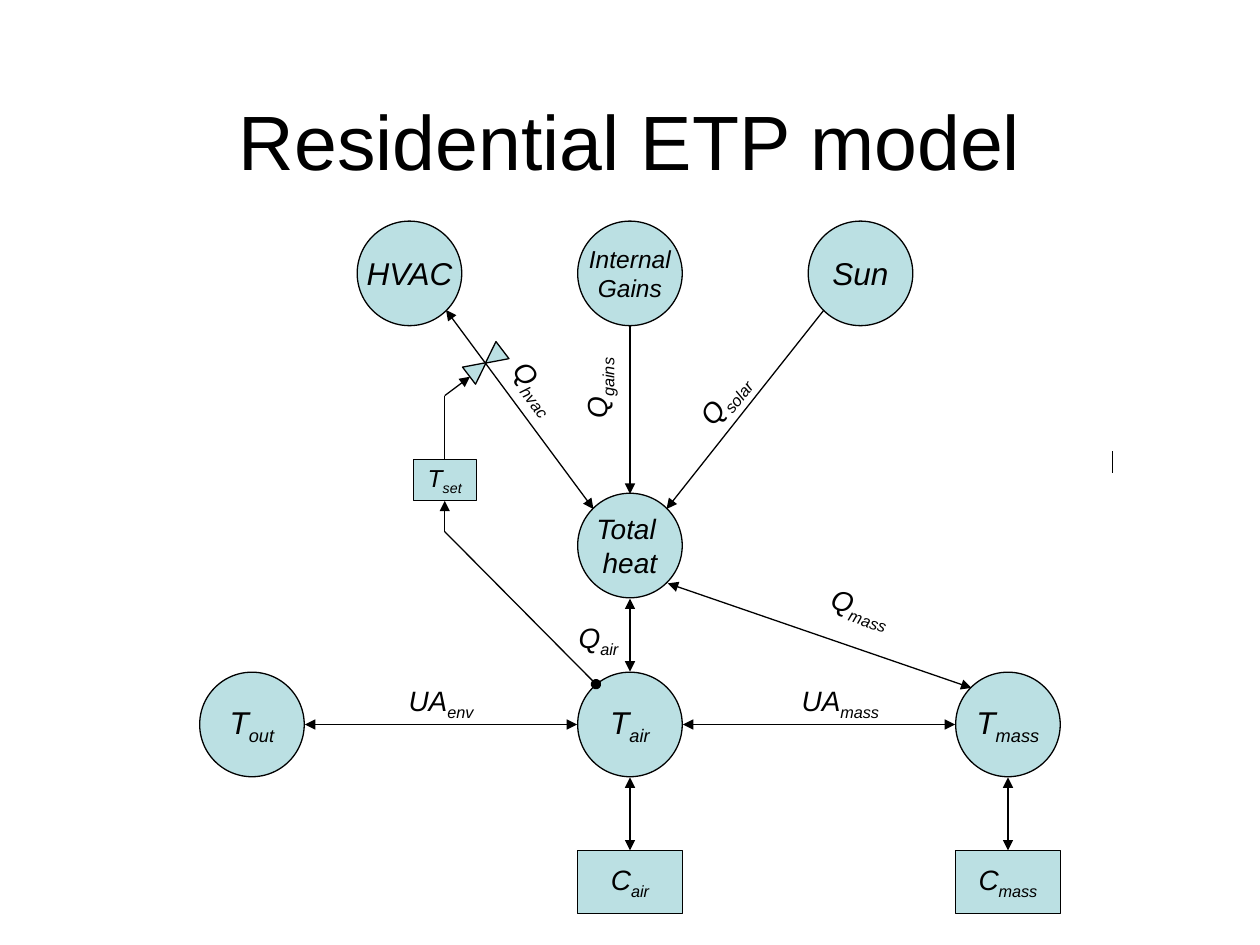
from typing import NamedTuple, Optional

import pptx
import pptx.util
import pptx.dml.color
import pptx.enum.shapes
import pptx.enum.text
from lxml import etree
from pptx.oxml.ns import qn
from pptx.util import Inches, Pt

FORM = pptx.enum.shapes.MSO_SHAPE
BLACK, TEAL = "000000", "BBE0E3"
DIAM = 0.83
TRI = "triangle"


class Node(NamedTuple):
    """A shape placed by its centre."""
    x: float
    y: float
    text: str
    sub: str = ""
    size: int = 18
    w: float = DIAM
    h: float = DIAM


class Label(NamedTuple):
    x: float
    y: float
    text: str
    sub: str
    turn: float = 0


class Link(NamedTuple):
    x1: float
    y1: float
    x2: float
    y2: float
    head: str = ""
    tail: str = ""
    start: Optional[tuple] = None  # box key and side
    stop: Optional[tuple] = None


ROUND = [
    Node(5, 5.75, "T", "air"),
    Node(8, 5.75, "T", "mass"),
    Node(2, 5.75, "T", "out"),
    Node(3.25, 2.17, "HVAC"),
    Node(5, 2.17, "Internal\nGains", size=14),
    Node(6.83, 2.17, "Sun"),
    Node(5, 4.33, "Total \nheat", size=16),
]
BOXES = {
    "air": Node(5, 7, "C", "air", 16, h=0.5),
    "mass": Node(8, 7, "C", "mass", 16, h=0.5),
    "set": Node(3.53, 3.81, "T", "set", 14, 0.5, 0.33),
}
LABELS = [
    Label(6.83, 4.83, "Q", "mass", 18.9),
    Label(3.5, 5.58, "UA", "env"),
    Label(6.67, 5.58, "UA", "mass"),
    Label(4.25, 3.08, "Q", "hvac", 52.3),
    Label(4.75, 3.08, "Q", "gains", 270),
    Label(5.75, 3.17, "Q", "solar", 308.8),
    Label(4.75, 5.08, "Q", "air"),
]
LINKS = [
    # Heat flows
    Link(3.54, 2.46, 4.71, 4.04, TRI, TRI),
    Link(5, 2.58, 5, 3.92, tail=TRI),
    Link(6.54, 2.46, 5.29, 4.04, tail=TRI),
    Link(5.3, 4.63, 7.71, 5.46, TRI, TRI),
    Link(5, 4.75, 5, 5.33, TRI, TRI),
    # Envelope and mass
    Link(2.42, 5.75, 4.58, 5.75, TRI, TRI),
    Link(5.42, 5.75, 7.58, 5.75, TRI, TRI),
    Link(5, 6.17, 5, 6.75, TRI, TRI, stop=("air", 0)),
    Link(8, 6.17, 8, 6.75, TRI, TRI, stop=("mass", 0)),
    # Thermostat loop
    Link(3.53, 3.14, 3.73, 2.99, tail=TRI),
    Link(3.53, 3.64, 3.53, 3.14, start=("set", 0)),
    Link(3.53, 3.97, 3.53, 4.22, TRI, start=("set", 2)),
    Link(4.73, 5.43, 3.53, 4.22, "oval"),
    # Cursor mark
    Link(8.83, 3.58, 8.83, 3.75),
]


def color(code: str):
    return pptx.dml.color.RGBColor.from_string(code)


def write(shape, text: str, sub: str, size: int, slant=True, wrap=False):
    frame = shape.text_frame
    frame.word_wrap = wrap
    frame.vertical_anchor = pptx.enum.text.MSO_ANCHOR.MIDDLE
    for i, line in enumerate(text.split("\n")):
        para = frame.add_paragraph() if i else frame.paragraphs[0]
        para.alignment = pptx.enum.text.PP_ALIGN.CENTER
        font = para.font
        font.name, font.size, font.italic = "Arial", Pt(size), slant
        font.color.rgb = color(BLACK)
        para.add_run().text = line
        if sub:
            run = para.add_run()
            run.text = sub
            run.font._element.set("baseline", "-25000")


def draw(shapes, form, x: float, y: float, w: float, h: float):
    shape = shapes.add_shape(form, Inches(x - w / 2), Inches(y - h / 2),
                             Inches(w), Inches(h))
    shape.shadow.inherit = False
    shape.fill.solid()
    shape.fill.fore_color.rgb = color(TEAL)
    shape.line.color.rgb = color(BLACK)
    shape.line.width = Pt(0.75)
    return shape


def add_node(shapes, node: Node, form):
    shape = draw(shapes, form, node.x, node.y, node.w, node.h)
    write(shape, node.text, node.sub, node.size)
    return shape


def add_label(shapes, label: Label):
    box = shapes.add_textbox(Inches(label.x - DIAM / 2), Inches(label.y - 0.25),
                             Inches(DIAM), Inches(0.5))
    box.rotation = label.turn
    write(box, label.text, label.sub, 16)


def add_link(shapes, link: Link, boxes: dict):
    line = shapes.add_connector(
        pptx.enum.shapes.MSO_CONNECTOR.STRAIGHT,
        Inches(link.x1), Inches(link.y1), Inches(link.x2), Inches(link.y2))
    if link.start:
        line.begin_connect(boxes[link.start[0]], link.start[1])
    if link.stop:
        line.end_connect(boxes[link.stop[0]], link.stop[1])
    line.line.color.rgb = color(BLACK)
    line.line.width = Pt(0.75)
    props = line._element.spPr
    for tag, kind in (("a:headEnd", link.head), ("a:tailEnd", link.tail)):
        if kind:
            etree.SubElement(props.find(qn("a:ln")), qn(tag), type=kind)
    etree.SubElement(props, qn("a:effectLst"))


def main():
    deck = pptx.Presentation()
    deck.slide_width, deck.slide_height = Inches(10), Inches(7.5)
    shapes = deck.slides.add_slide(deck.slide_layouts[6]).shapes

    # Title
    title = shapes.add_textbox(Inches(0.5), Inches(0.67), Inches(9), Inches(0.88))
    write(title, "Residential ETP model", "", 44, slant=False, wrap=True)

    # Nodes and links
    for node in ROUND:
        add_node(shapes, node, FORM.OVAL)
    boxes = {key: add_node(shapes, node, FORM.RECTANGLE)
             for key, node in BOXES.items()}
    for link in LINKS:
        add_link(shapes, link, boxes)

    # Valve: two triangles tip to tip
    for x, y, turn in ((3.92, 2.83, 232.7), (3.79, 2.93, 52.7)):
        draw(shapes, FORM.ISOSCELES_TRIANGLE, x, y, 0.17, 0.17).rotation = turn

    # Flow labels
    for label in LABELS:
        add_label(shapes, label)

    deck.save("out.pptx")


if __name__ == "__main__":
    main()
